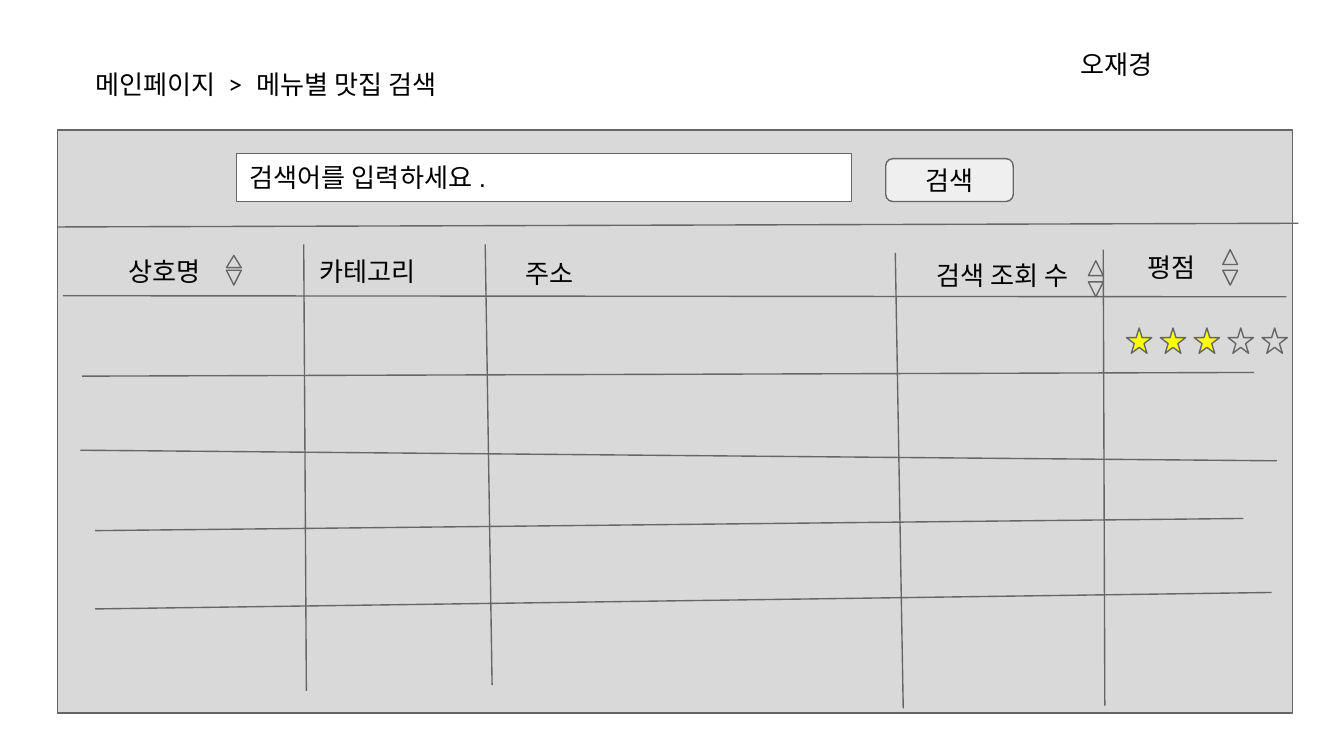
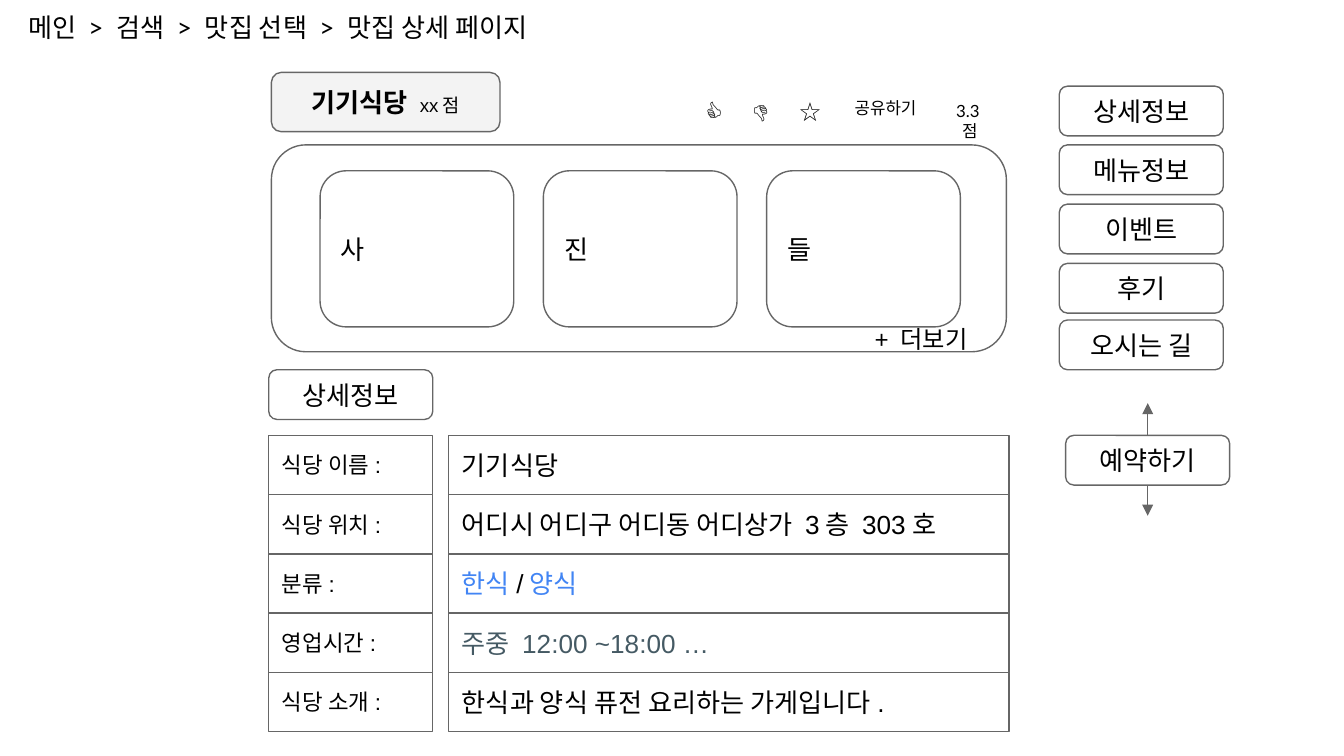
from dataclasses import dataclass

from lxml.etree import SubElement
from pptx import Presentation
from pptx.dml.color import RGBColor
from pptx.enum.shapes import MSO_CONNECTOR, MSO_SHAPE
from pptx.enum.text import MSO_ANCHOR, MSO_AUTO_SIZE, PP_ALIGN
from pptx.oxml.ns import qn
from pptx.util import Cm, Pt


@dataclass(frozen=True)
class Theme:
    ink: str = "000000"
    outline: str = "666666"
    panel: str = "D9D9D9"
    paper: str = "FFFFFF"
    button: str = "EFEFEF"
    badge: str = "F3F3F3"
    star: str = "FFFF00"
    link: str = "4285F4"
    hours: str = "455A64"
    body: int = 14
    more: int = 13
    label: int = 12
    note: int = 10
    small: int = 9
    stroke: float = 0.75
    label_font: str = "Lato"
    shape_font: str = "Arial"


THEME = Theme()
LINE_HEIGHT = 1.12
BUTTON_SIZE = (3.1, 0.94)


def apply(target, values):
    for name, value in values.items():
        setattr(target, name, value)


class Wireframe:
    def __init__(self, deck, theme):
        self.deck = deck
        self.theme = theme
        self.slide = None

    def start(self, breadcrumb, box):
        self.slide = self.deck.slides.add_slide(self.deck.slide_layouts[5])
        title = self.slide.shapes.title
        apply(title, dict(zip(("left", "top", "width", "height"), map(Cm, box))))
        self.fill_label(title, breadcrumb)

    def fill_text(self, frame, runs, font, size, align, **layout):
        inset = Cm(0.25)
        apply(frame, {
            "word_wrap": True, "margin_left": inset, "margin_right": inset,
            "margin_top": inset, "margin_bottom": inset, **layout,
        })
        paragraph = frame.paragraphs[0]
        paragraph.alignment = align
        for words, changes in runs:
            run = paragraph.add_run()
            run.text = words
            values = {"size": size, "bold": False, "color": self.theme.ink, **changes}
            run.font.color.rgb = RGBColor.from_string(values.pop("color"))
            values["size"] = Pt(values["size"])
            apply(run.font, {"name": font, **values})

    def fill_label(self, holder, words, size=None, align=PP_ALIGN.LEFT):
        self.fill_text(holder.text_frame, [(words, {})], self.theme.label_font,
                       size or self.theme.body, align, vertical_anchor=MSO_ANCHOR.TOP,
                       auto_size=MSO_AUTO_SIZE.SHAPE_TO_FIT_TEXT)

    def label(self, words, box, size=None, align=PP_ALIGN.LEFT):
        self.fill_label(self.slide.shapes.add_textbox(*map(Cm, box)), words, size, align)

    def outline(self, line):
        line.color.rgb = RGBColor.from_string(self.theme.outline)
        line.width = Pt(self.theme.stroke)

    def shape(self, kind, box, fill=None, runs=(), size=None, align=PP_ALIGN.LEFT):
        shape = self.slide.shapes.add_shape(kind, *map(Cm, box))
        shape.shadow.inherit = False
        self.outline(shape.line)
        if fill:
            shape.fill.solid()
            shape.fill.fore_color.rgb = RGBColor.from_string(fill)
        else:
            shape.fill.background()
        if runs:
            self.fill_text(shape.text_frame, runs, self.theme.shape_font,
                           size or self.theme.body, align, vertical_anchor=MSO_ANCHOR.MIDDLE)
        return shape

    def button(self, words, box, fill=None):
        return self.shape(MSO_SHAPE.ROUNDED_RECTANGLE, box, fill, [(words, {})],
                          align=PP_ALIGN.CENTER)

    def line(self, start, end, origin=None, site=0, arrow=False):
        connector = self.slide.shapes.add_connector(
            MSO_CONNECTOR.STRAIGHT, *map(Cm, (*start, *end)))
        self.outline(connector.line)
        if origin is not None:
            connector.begin_connect(origin, site)
        properties = connector._element.spPr
        if arrow:
            SubElement(properties.find(qn("a:ln")), qn("a:tailEnd"), type="triangle")
        SubElement(properties, qn("a:effectLst"))


def build_search(page):
    theme = page.theme
    page.start("메인페이지 > 메뉴별 맛집 검색", (1.55, 1.04, 8.31, LINE_HEIGHT))
    page.shape(MSO_SHAPE.RECTANGLE, (1.09, 2.46, 23.34, 11.02), theme.panel)
    page.shape(MSO_SHAPE.RECTANGLE, (4.47, 2.9, 11.63, 0.91), theme.paper,
               [("검색어를 입력하세요.", {})])
    page.button("검색", (16.74, 3, 2.41, 0.81), theme.button)

    row_rules = [
        ((1.09, 4.29), (24.54, 4.22)),
        ((1.19, 5.59), (24.31, 5.61)),
        ((1.55, 7.11), (23.7, 7.04)),
        ((1.52, 8.51), (24.13, 8.71)),
        ((1.8, 10.03), (23.5, 9.8)),
        ((1.8, 11.51), (24.03, 11.2)),
    ]
    column_rules = [
        ((5.74, 4.62), (5.79, 13.06)),
        ((9.17, 4.62), (9.3, 12.95)),
        ((16.92, 4.78), (17.07, 13.39)),
        ((20.85, 4.72), (20.88, 13.34)),
    ]
    for start, end in row_rules + column_rules:
        page.line(start, end)

    headings = [
        ("상호명", 2.18, 4.57, 3.84),
        ("카테고리", 5.79, 4.57, 3.94),
        ("주소", 9.68, 4.62, 2.67),
        ("검색 조회 수", 17.45, 4.65, 3.73),
        ("평점", 21.44, 4.5, 3.25),
        ("오재경", 20.17, 0.66, 3.73),
    ]
    for words, left, top, width in headings:
        page.label(words, (left, top, width, LINE_HEIGHT))

    rating = 3
    for index in range(5):
        fill = theme.star if index < rating else theme.panel
        page.shape(MSO_SHAPE.STAR_5_POINT, (21.29 + index * 0.64, 6.2, 0.48, 0.48), fill)

    sort_marks = [
        (MSO_SHAPE.FLOWCHART_EXTRACT, 4.28, 4.83, 0.23, 5.11),
        (MSO_SHAPE.ISOSCELES_TRIANGLE, 20.57, 4.93, 0.28, 5.33),
        (MSO_SHAPE.ISOSCELES_TRIANGLE, 23.11, 4.72, 0.28, 5.11),
    ]
    for ascending, left, top, height, lower_top in sort_marks:
        page.shape(ascending, (left, top, 0.28, height), theme.panel)
        page.shape(MSO_SHAPE.FLOWCHART_MERGE, (left, lower_top, 0.28, 0.28), theme.panel)


def build_detail(page):
    theme = page.theme
    page.start("메인 > 검색 > 맛집 선택 > 맛집 상세 페이지", (0.28, -0.03, 11.1, LINE_HEIGHT))
    page.shape(MSO_SHAPE.ROUNDED_RECTANGLE, (5.13, 1.37, 4.32, LINE_HEIGHT), theme.badge,
               [("기기식당 ", {"bold": True}), ("xx점", {"size": theme.note})],
               align=PP_ALIGN.CENTER)

    details = [
        ("식당 이름:", [("기기식당", {})]),
        ("식당 위치:", [("어디시 어디구 어디동 어디상가 3층 303호", {})]),
        ("분류:", [("한식", {"color": theme.link}), ("/", {}),
                 ("양식", {"color": theme.link})]),
        ("영업시간:", [("주중 12:00 ~18:00 …", {"color": theme.hours})]),
        ("식당 소개:", [("한식과 양식 퓨전 요리하는 가게입니다.", {})]),
    ]
    for row, (field, answer) in enumerate(details):
        top = 8.23 + row * LINE_HEIGHT
        page.shape(MSO_SHAPE.RECTANGLE, (5.08, top, 3.1, LINE_HEIGHT), theme.paper,
                   [(field, {})], theme.label)
        page.shape(MSO_SHAPE.RECTANGLE, (8.48, top, 10.59, LINE_HEIGHT), theme.paper, answer)

    page.shape(MSO_SHAPE.ROUNDED_RECTANGLE, (5.13, 2.74, 13.89, 3.91), theme.paper)
    for index, syllable in enumerate("사진들"):
        page.shape(MSO_SHAPE.ROUNDED_RECTANGLE, (6.05 + index * 4.22, 3.23, 3.66, 2.95),
                   theme.paper, [(syllable, {})])
    page.label("+ 더보기", (16.28, 5.87, 2.29, 1.07), theme.more)

    for index, reaction in enumerate("👍👎☆"):
        page.label(reaction, (13.08 + index * 0.88, 1.55, 0.97, LINE_HEIGHT))
    for words, left, width in [("공유하기", 15.72, 2.03), ("3.3점", 17.68, 1.3)]:
        page.label(words, (left, 1.65, width, 0.89), theme.small, PP_ALIGN.CENTER)

    page.button("상세정보", (5.08, 6.99, *BUTTON_SIZE))
    menu = {"상세정보": 1.63, "메뉴정보": 2.74, "이벤트": 3.86, "후기": 4.98, "오시는 길": 6.05}
    for words, top in menu.items():
        page.button(words, (20.02, top, *BUTTON_SIZE))

    reserve = page.button("예약하기", (20.14, 8.23, *BUTTON_SIZE))
    for site, start, end in [(0, 8.23, 7.62), (2, 9.17, 9.75)]:
        page.line((21.69, start), (21.69, end), reserve, site, arrow=True)


def main():
    deck = Presentation()
    apply(deck, {"slide_width": Cm(25.4), "slide_height": Cm(14.29)})
    page = Wireframe(deck, THEME)
    build_search(page)
    build_detail(page)
    deck.save("out.pptx")


if __name__ == "__main__":
    main()
